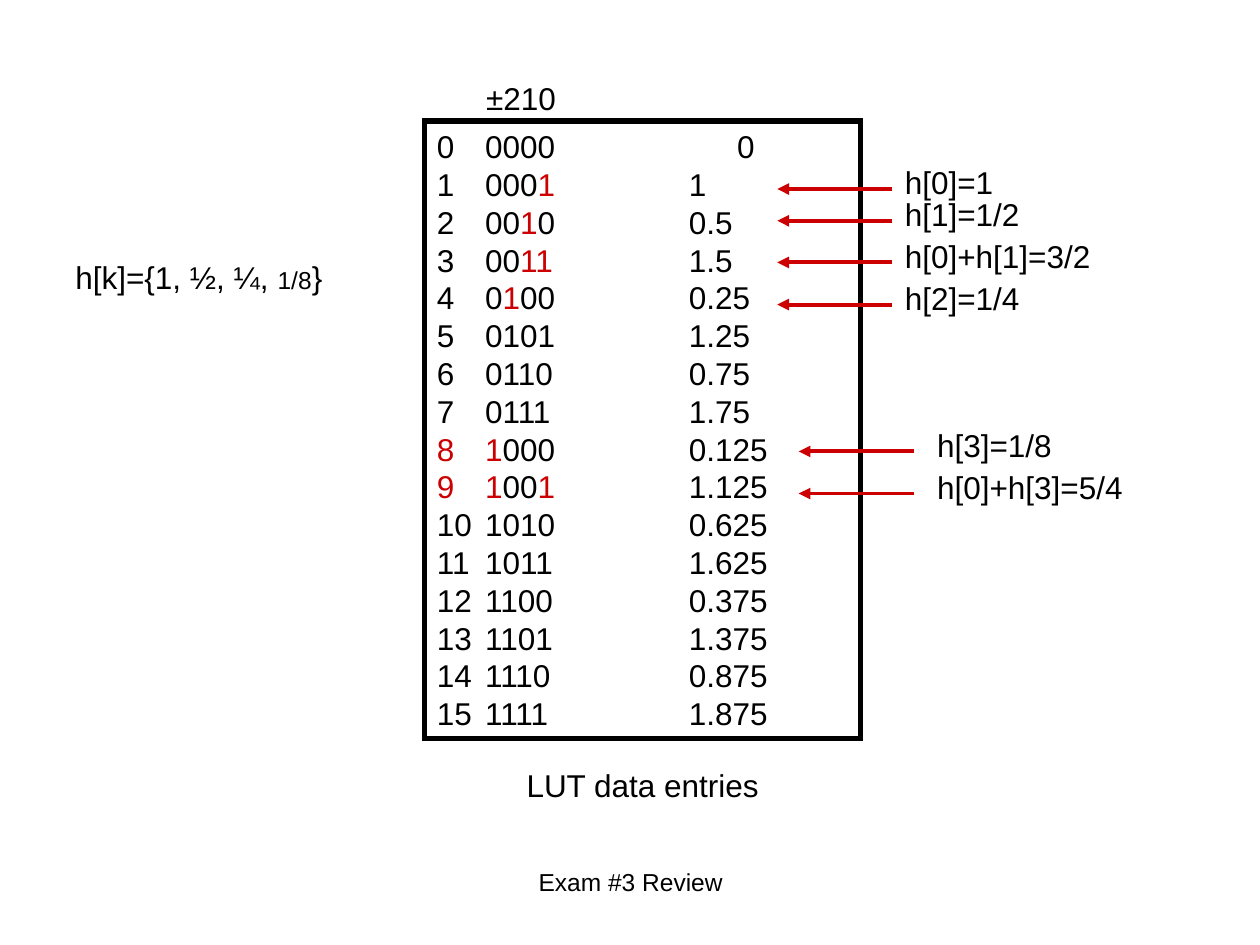
from lxml.etree import SubElement
from pptx import Presentation
from pptx.dml.color import RGBColor
from pptx.enum.shapes import MSO_CONNECTOR, MSO_SHAPE
from pptx.enum.text import MSO_ANCHOR, PP_ALIGN
from pptx.oxml.ns import qn
from pptx.util import Cm, Pt

BLACK = RGBColor(0, 0, 0)
RED = RGBColor(0xCC, 0, 0)
FONT = "Arial"
TAPS = (1, 0.5, 0.25, 0.125)
MARKED = (1, 2, 3, 4, 8, 9)
INDENT = 0.97
TAB = 2.54


def write(para, text, size=18, color=BLACK, align=PP_ALIGN.LEFT):
    para.alignment = align
    para.line_spacing = Pt(1.2 * max(size, para.font.size.pt if para.font.size else 0))
    para.font.size = Pt(size)
    run = para.add_run()
    run.text = text
    run.font.name = FONT
    run.font.size = Pt(size)
    run.font.color.rgb = color


def label(slide, box, text, wrap=False, **form):
    shape = slide.shapes.add_textbox(*map(Cm, box))
    frame = shape.text_frame
    frame.word_wrap = wrap
    write(frame.paragraphs[0], text, **form)
    return frame.paragraphs[0]


def caption(slide, box):
    slide.shapes.title.element.getparent().remove(slide.shapes.title.element)
    holder = slide.placeholders[1]
    holder.left, holder.top, holder.width, holder.height = map(Cm, box)
    frame = holder.text_frame
    frame.vertical_anchor = MSO_ANCHOR.TOP
    frame.paragraphs[0].space_before = Pt(0)
    write(frame.paragraphs[0], "LUT data entries")


def layout(para, first, color=None):
    props = para._p.get_or_add_pPr()
    props.set("marL", str(Cm(INDENT)))
    props.set("indent", str(-Cm(INDENT)))
    props.set("defTabSz", str(Cm(TAB)))
    if color is not None:
        tint = SubElement(props, qn("a:buClr"))
        SubElement(tint, qn("a:srgbClr"), val=str(color))
        SubElement(props, qn("a:buFont"), typeface=FONT)
        SubElement(props, qn("a:buAutoNum"), type="arabicPlain")
    tabs = SubElement(props, qn("a:tabLst"))
    for stop in range(first, first + 8):
        SubElement(tabs, qn("a:tab"), pos=str(Cm(stop * TAB)), algn="l")


def lookup(slide, box):
    shape = slide.shapes.add_shape(MSO_SHAPE.RECTANGLE, *map(Cm, box))
    shape.shadow.inherit = False
    shape.fill.background()
    shape.line.color.rgb = BLACK
    shape.line.width = Pt(3)
    SubElement(shape.line._get_or_add_ln(), qn("a:miter"), lim="800000")
    frame = shape.text_frame
    frame.word_wrap = True
    frame.vertical_anchor = MSO_ANCHOR.TOP
    para = frame.paragraphs[0]
    layout(para, 0)
    write(para, "0\t0000\t\t0")
    for index in range(1, 16):
        code = f"{index:04b}"
        value = sum(tap for tap, bit in zip(TAPS, reversed(code)) if bit == "1")
        para = frame.add_paragraph()
        layout(para, 1, RED if index in (8, 9) else BLACK)
        if index in MARKED:
            for bit in code:
                write(para, bit, color=RED if bit == "1" else BLACK)
        else:
            write(para, code)
        write(para, f"\t\t{value:g}")


def arrow(slide, start, end, y):
    line = slide.shapes.add_connector(MSO_CONNECTOR.STRAIGHT, Cm(start), Cm(y), Cm(end), Cm(y))
    line.line.color.rgb = RED
    line.line.width = Pt(2.25)
    SubElement(line.line._get_or_add_ln(), qn("a:tailEnd"), type="triangle")
    SubElement(line._element.spPr, qn("a:effectLst"))


def notes(slide, left, gap, items):
    for y, width, text in items:
        arrow(slide, left, left - 2.32, y)
        label(slide, (left + gap, y - 0.64, width, 1.02), text, wrap=True)


def main():
    deck = Presentation()
    deck.slide_width, deck.slide_height = Cm(25.4), Cm(19.05)
    slide = deck.slides.add_slide(deck.slide_layouts[2])
    caption(slide, (10.36, 15.32, 5.92, 1.07))
    label(slide, (8.69, 17.35, 8.05, 1.32), "Exam #3 Review",
          wrap=True, size=14, align=PP_ALIGN.CENTER)
    para = label(slide, (1.27, 5.08, 5.49, 1.02), "h[k]={1, ½, ¼, ")
    write(para, "1/8", size=14)
    write(para, "}")
    lookup(slide, (8.56, 2.44, 8.79, 12.45))
    label(slide, (9.55, 1.47, 2.08, 1.02), "±210")
    notes(slide, 17.99, 0, (
        (3.81, 2.5, "h[0]=1"),
        (4.45, 3, "h[1]=1/2"),
        (5.29, 4.6, "h[0]+h[1]=3/2"),
        (6.14, 3, "h[2]=1/4"),
    ))
    notes(slide, 18.42, 0.22, (
        (9.1, 3, "h[3]=1/8"),
        (9.95, 4.6, "h[0]+h[3]=5/4"),
    ))
    deck.save("out.pptx")


if __name__ == "__main__":
    main()
